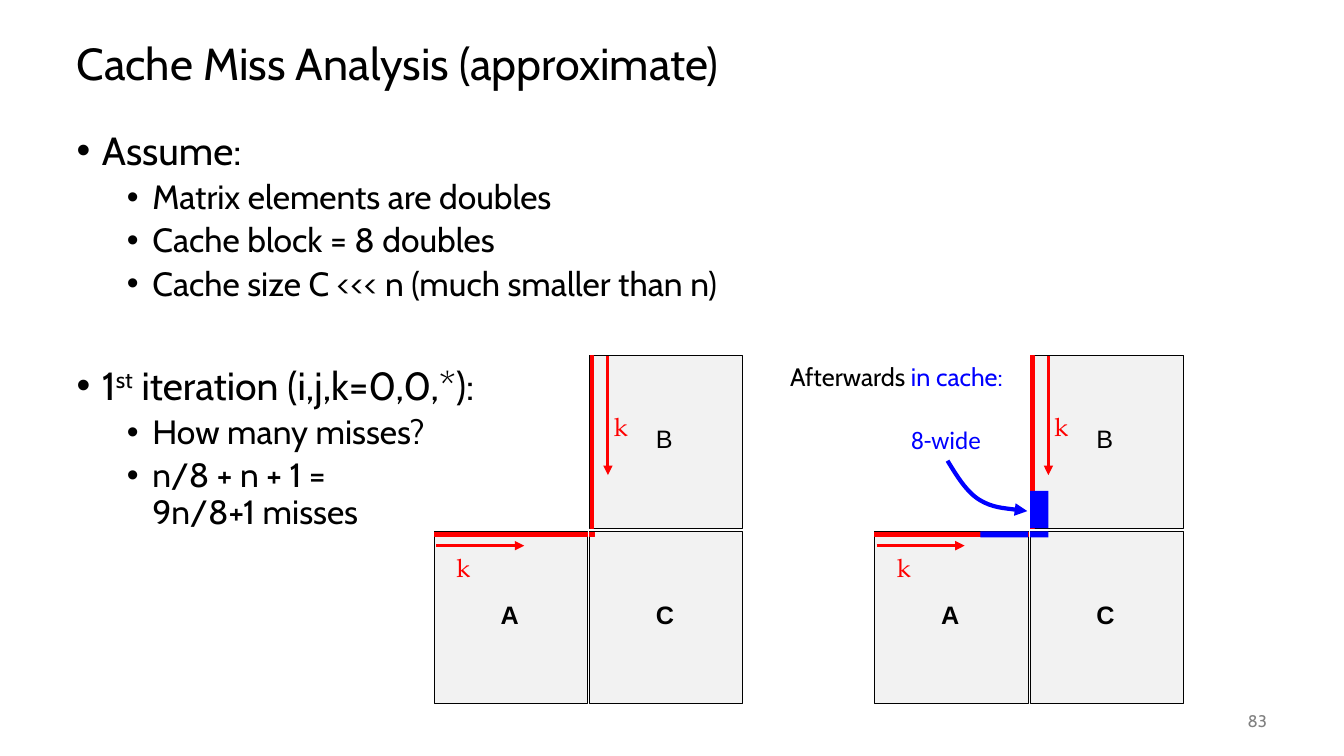
from dataclasses import dataclass

from lxml import etree
from pptx import Presentation
from pptx.dml.color import RGBColor
from pptx.enum.shapes import MSO_CONNECTOR, MSO_SHAPE
from pptx.enum.text import MSO_ANCHOR, PP_ALIGN
from pptx.oxml.ns import qn
from pptx.util import Cm, Pt

RECTANGLE = MSO_SHAPE.RECTANGLE
STRAIGHT = MSO_CONNECTOR.STRAIGHT
TOP, MIDDLE = MSO_ANCHOR.TOP, MSO_ANCHOR.MIDDLE
LEFT, RIGHT = PP_ALIGN.LEFT, PP_ALIGN.RIGHT


@dataclass(frozen=True)
class Theme:
    ink: RGBColor = RGBColor(0, 0, 0)
    panel: RGBColor = RGBColor(0xF2, 0xF2, 0xF2)
    access: RGBColor = RGBColor(0xFF, 0, 0)
    cached: RGBColor = RGBColor(0, 0, 0xFF)
    muted: RGBColor = RGBColor(0x80, 0x80, 0x80)
    text_font: str = "Cabin"
    matrix_font: str = "Arial"
    index_font: str = "TeX Gyre Pagella"
    note_font: str = "Calibri"
    title_size: int = 32
    topic_size: int = 28
    point_size: int = 24
    label_size: int = 18
    number_size: int = 12


THEME = Theme()

# Matrix size and distance between neighbouring matrices, in cm
MATRIX_W, MATRIX_H = 3.86, 4.34
PITCH_X, PITCH_Y = 3.91, 4.42

# Level, space before in points, and (text, baseline) pieces
BODY = [
    (0, 0, [("Assume:", None)]),
    (1, 5, [("Matrix elements are doubles", None)]),
    (1, 5, [("Cache block = 8 doubles", None)]),
    (1, 5, [("Cache size C <<< n (much smaller than n)", None)]),
    (0, 45, [("1", None), ("st", "30000"), (" iteration (i,j,k=0,0,*):", None)]),
    (1, 5, [("How many misses?", None)]),
    (1, 5, [("n/8 + n + 1 =\n9n/8+1 misses", None)]),
]


def set_all(target, values):
    for name, value in values.items():
        setattr(target, name, value)


def add_span(para, text, size, color, font=THEME.text_font, bold=False, baseline=None):
    for index, line in enumerate(text.split("\n")):
        if index:
            para.add_line_break()
        span = para.add_run()
        span.text = line
        set_all(span.font, {"size": Pt(size), "name": font, "bold": bold})
        span.font.color.rgb = color
        if baseline:
            span.font._rPr.set("baseline", baseline)


def add_text_frame(page, left, top, width, height, anchor=TOP):
    box = page.shapes.add_textbox(Cm(left), Cm(top), Cm(width), Cm(height))
    set_all(box.text_frame, {"word_wrap": True, "vertical_anchor": anchor})
    return box.text_frame


def add_label(page, left, top, width, height, pieces, size=THEME.label_size,
              font=THEME.text_font, anchor=TOP, align=LEFT):
    """Place one line of text made of (text, colour) pieces."""
    para = add_text_frame(page, left, top, width, height, anchor).paragraphs[0]
    para.alignment = align
    for text, color in pieces:
        add_span(para, text, size, color, font)


def add_block(page, left, top, width, height, fill, line=None):
    block = page.shapes.add_shape(RECTANGLE, Cm(left), Cm(top), Cm(width), Cm(height))
    block.shadow.inherit = False
    block.fill.solid()
    block.fill.fore_color.rgb = fill
    if line is None:
        block.line.fill.background()
    else:
        block.line.color.rgb = line
        block.line.width = Pt(0.75)
    return block


def style_arrow(shape, color, width):
    shape.line.color.rgb = color
    shape.line.width = Pt(width)
    etree.SubElement(shape.line._get_or_add_ln(), qn("a:tailEnd"), type="triangle")
    etree.SubElement(shape._element.spPr, qn("a:effectLst"))


def add_index_arrow(page, start, end):
    arrow = page.shapes.add_connector(STRAIGHT, *(Cm(value) for value in start + end))
    style_arrow(arrow, THEME.access, 2.25)


def add_matrix(page, left, top, name, bold):
    matrix = add_block(page, left, top, MATRIX_W, MATRIX_H, THEME.panel, THEME.ink)
    frame = matrix.text_frame
    set_all(frame, {"vertical_anchor": TOP, "margin_left": Cm(1.67), "margin_top": Cm(1.71)})
    para = frame.paragraphs[0]
    para.alignment = LEFT
    add_span(para, name, THEME.label_size, THEME.ink, THEME.matrix_font, bold)


def add_product(page, left, top):
    """Draw matrices A, B and C with the row and column read by index k."""
    right, low = left + PITCH_X, top + PITCH_Y
    for name, x, y in (("A", left, low), ("B", right, top), ("C", right, low)):
        add_matrix(page, x, y, name, name != "B")
    for x, y, width, height in (
        (right + 0.02, top, 0.08, MATRIX_H),
        (left, low + 0.02, MATRIX_W, 0.1),
        (right, low + 0.02, 0.12, 0.12),
    ):
        add_block(page, x, y, width, height, THEME.access, THEME.access)
    add_index_arrow(page, (left + 0.04, low + 0.36), (left + 2.26, low + 0.36))
    add_index_arrow(page, (right + 0.46, top), (right + 0.46, top + 3))
    for x, y in ((left + 0.3, low + 0.4), (right + 0.36, top + 1.27)):
        add_label(page, x, y, 0.9, 1.04, [("k", THEME.access)], font=THEME.index_font)


def add_cached_blocks(page, left, top):
    """Mark the parts of a product drawing that stay in the cache."""
    right, low = left + PITCH_X, top + PITCH_Y
    wide, deep, thin, run = 0.46, 0.94, 0.15, 1.2
    for x, y, width, height in (
        (left + MATRIX_W - run, low, run, thin),
        (right, top + MATRIX_H - deep, wide, deep),
        (right, low, wide, thin),
    ):
        add_block(page, x, y, width, height, THEME.cached)


def add_curved_arrow(page, left, top):
    """Draw two joined Bezier curves from the given start to the cached column."""
    offsets = [(0.23, 0.38), (0.48, 0.79), (0.81, 0.99), (1.14, 1.19), (2.01, 1.27), (2.01, 1.27)]
    builder = page.shapes.build_freeform(Cm(left), Cm(top))
    builder.add_line_segments([(Cm(left + x), Cm(top + y)) for x, y in offsets], close=False)
    curve = builder.convert_to_shape()
    outline = next(curve._element.iter(qn("a:path")))
    segments = outline.findall(qn("a:lnTo"))
    for first in range(0, len(segments), 3):
        bezier = etree.SubElement(outline, qn("a:cubicBezTo"))
        for segment in segments[first:first + 3]:
            bezier.append(segment[0])
            outline.remove(segment)
    curve.fill.background()
    style_arrow(curve, THEME.cached, 3)


def add_body(page, left, top, width, height):
    frame = add_text_frame(page, left, top, width, height)
    for index, (level, before, pieces) in enumerate(BODY):
        para = frame.add_paragraph() if index else frame.paragraphs[0]
        set_all(para, {"level": level, "line_spacing": 0.9, "space_before": Pt(before)})
        properties = para._p.get_or_add_pPr()
        properties.set("marL", str(Cm(0.64 + 1.27 * level)))
        properties.set("indent", str(Cm(-0.64)))
        etree.SubElement(properties, qn("a:buFont"), typeface="Arial")
        etree.SubElement(properties, qn("a:buChar"), char="•")
        size = THEME.point_size if level else THEME.topic_size
        for text, baseline in pieces:
            add_span(para, text, size, THEME.ink, baseline=baseline)


def add_cache_view(page, left, top):
    """Draw the product after the iteration, with its notes on the cache."""
    add_product(page, left, top)
    add_cached_blocks(page, left, top)
    add_label(page, left - 2.39, top + 0.02, 6.3, 1.02,
              [("Afterwards ", THEME.ink), ("in cache:", THEME.cached)])
    add_label(page, left + 0.66, top + 1.6, 2.5, 1.02,
              [("8-wide", THEME.cached)], font=THEME.note_font)
    add_curved_arrow(page, left + 1.83, top + 2.64)


def build_cache_slide(deck):
    page = deck.slides.add_slide(deck.slide_layouts[6])
    add_label(page, 1.68, 0.64, 30.48, 1.9,
              [("Cache Miss Analysis (approximate)", THEME.ink)],
              size=THEME.title_size, anchor=MIDDLE)
    add_body(page, 1.68, 3.18, 30.48, 13.97)
    add_product(page, 10.95, 8.97)
    add_cache_view(page, 22.05, 8.97)
    add_label(page, 29.64, 17.65, 2.54, 1.02, [("83", THEME.muted)],
              size=THEME.number_size, anchor=MIDDLE, align=RIGHT)


def main():
    deck = Presentation()
    set_all(deck, {"slide_width": Cm(33.87), "slide_height": Cm(19.05)})
    build_cache_slide(deck)
    deck.save("out.pptx")


if __name__ == "__main__":
    main()
